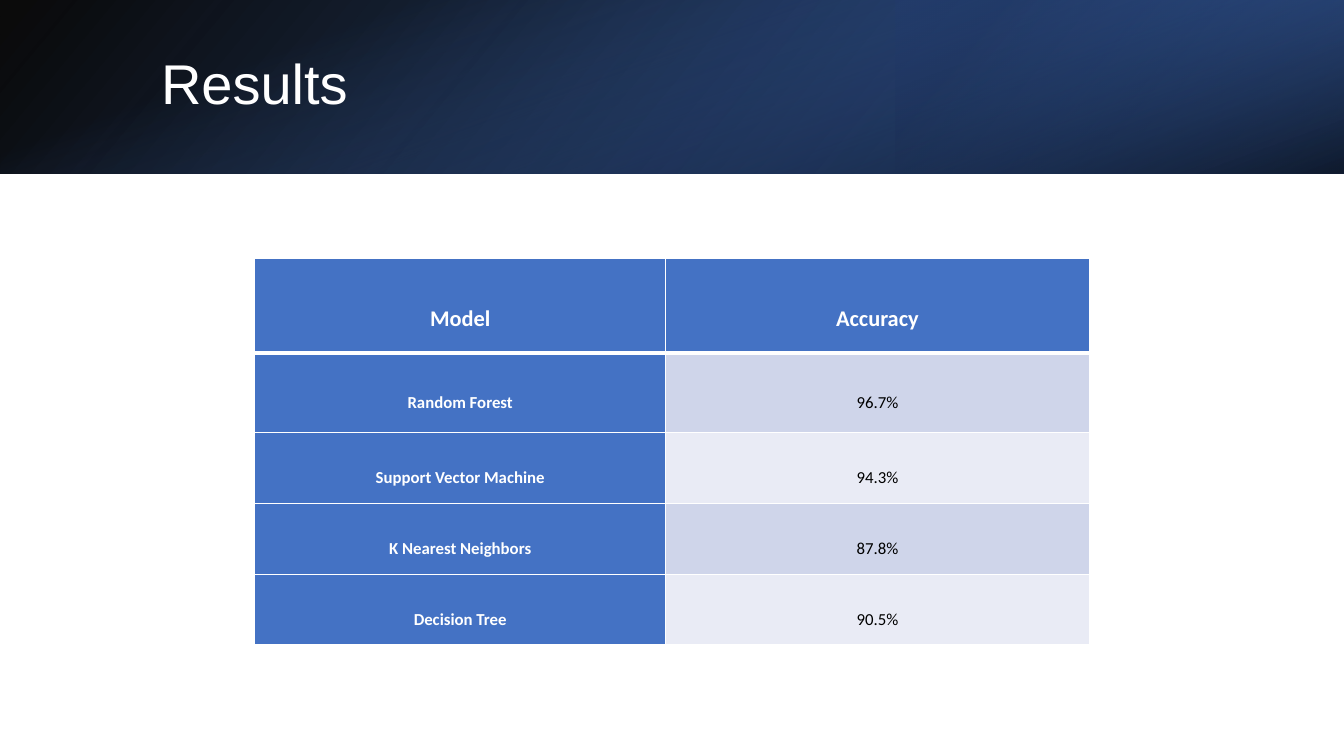
import dataclasses

import lxml.etree
import pptx
import pptx.dml.color
import pptx.enum.shapes
import pptx.enum.text
import pptx.oxml.ns
import pptx.util

Pt = pptx.util.Pt
qn = pptx.oxml.ns.qn
ALIGN = pptx.enum.text.PP_ALIGN
MIDDLE = pptx.enum.text.MSO_ANCHOR.MIDDLE
RECT = pptx.enum.shapes.MSO_SHAPE.RECTANGLE


@dataclasses.dataclass(frozen=True)
class Theme:
    white: str = "FFFFFF"
    black: str = "000000"
    blue: str = "4472C4"
    deep: str = "2F5597"
    navy: str = "203864"
    stripes: tuple = ("CFD5EA", "E9EBF5")
    title_font: str = "Arial"
    table_font: str = "Calibri"
    title_size: int = 40
    head_size: int = 16
    body_size: int = 12


def rgb(color):
    return pptx.dml.color.RGBColor.from_string(color)


def add_node(parent, tag, **attrs):
    node = lxml.etree.SubElement(parent, qn(tag))
    for name, value in attrs.items():
        node.set(name, str(value))
    return node


class Page:
    def __init__(self, slide, theme):
        self.slide = slide
        self.theme = theme

    def band(self, box, stops, angle, turn=0, flip=False):
        """Add a rectangle whose stops are (position %, color, opacity %)."""
        shape = self.slide.shapes.add_shape(RECT, *map(Pt, box))
        shape.shadow.inherit = False
        shape.line.fill.background()
        shape.rotation = turn
        frame = shape._element.spPr
        if flip:
            frame.find(qn("a:xfrm")).set("flipH", "1")
        shape.fill.background()
        blend = add_node(frame, "a:gradFill", rotWithShape=1)
        stop_list = add_node(blend, "a:gsLst")
        for place, color, alpha in stops:
            stop = add_node(stop_list, "a:gs", pos=place * 1000)
            tint = add_node(stop, "a:srgbClr", val=color)
            add_node(tint, "a:alpha", val=alpha * 1000)
        add_node(blend, "a:lin", ang=angle * 60000, scaled=0)
        frame.replace(frame.find(qn("a:noFill")), blend)

    def add_text(self, para, text, font, size, color, bold=False):
        run = para.add_run()
        run.text = text
        run.font.name = font
        run.font.size = Pt(size)
        run.font.bold = bold
        run.font.color.rgb = rgb(color)

    def title(self, box, text):
        frame = self.slide.shapes.add_textbox(*map(Pt, box)).text_frame
        frame.word_wrap = True
        frame.vertical_anchor = MIDDLE
        para = frame.paragraphs[0]
        para.line_spacing = 0.9
        self.add_text(para, text, self.theme.title_font,
                      self.theme.title_size, self.theme.white)

    def edge(self, cell, side, width):
        props = cell._tc.get_or_add_tcPr()
        line = add_node(props, f"a:ln{side}", w=Pt(width))
        fill = add_node(line, "a:solidFill")
        add_node(fill, "a:srgbClr", val=self.theme.white)

    def cell(self, cell, text, row, col):
        theme = self.theme
        label = row == 0 or col == 0
        for side in "LRTB":
            thick = (row, side) in ((0, "B"), (1, "T"))
            self.edge(cell, side, 3 if thick else 1)
        cell.fill.solid()
        cell.fill.fore_color.rgb = rgb(
            theme.blue if label else theme.stripes[(row - 1) % 2])
        cell.margin_left = cell.margin_right = Pt(5)
        cell.margin_top = cell.margin_bottom = 0
        cell.vertical_anchor = MIDDLE
        para = cell.text_frame.paragraphs[0]
        para.alignment = ALIGN.CENTER
        para.line_spacing = 2.0
        self.add_text(para, text, theme.table_font,
                      theme.body_size if row else theme.head_size,
                      theme.white if label else theme.black, label)

    def table(self, left, top, widths, heights, rows):
        box = (left, top, sum(widths), sum(heights))
        table = self.slide.shapes.add_table(
            len(heights), len(widths), *map(Pt, box)).table
        table.first_col = True
        for column, width in zip(table.columns, widths):
            column.width = Pt(width)
        for row, (height, texts) in enumerate(zip(heights, rows)):
            table.rows[row].height = Pt(height)
            for col, text in enumerate(texts):
                self.cell(table.cell(row, col), text, row, col)


def main():
    deck = pptx.Presentation()
    wide, band = 960, 124
    deck.slide_width, deck.slide_height = Pt(wide), Pt(540)
    theme = Theme()
    page = Page(deck.slides.add_slide(deck.slide_layouts[6]), theme)

    page.band((0, 0, wide, band),
              [(0, theme.black, 96), (100, theme.deep, 100)], 140, flip=True)
    page.band((wide * 2 / 3, 0, wide / 3, band),
              [(19, theme.navy, 68), (100, theme.blue, 79)], 320, 180, True)
    shift = (wide - band) / 2
    page.band((shift, -shift, band, wide),
              [(23, theme.blue, 0), (99, theme.black, 74)], 340, 90)
    page.title((108, 27.5, 790.5, 69), "Results")
    page.table(182, 184.5, (293.5, 302.5), (67.5, 57, 50.6, 50.6, 50.6), [
        ("Model", "Accuracy"),
        ("Random Forest", "96.7%"),
        ("Support Vector Machine", "94.3%"),
        ("K Nearest Neighbors", "87.8%"),
        ("Decision Tree", "90.5%"),
    ])
    deck.save("out.pptx")


if __name__ == "__main__":
    main()
